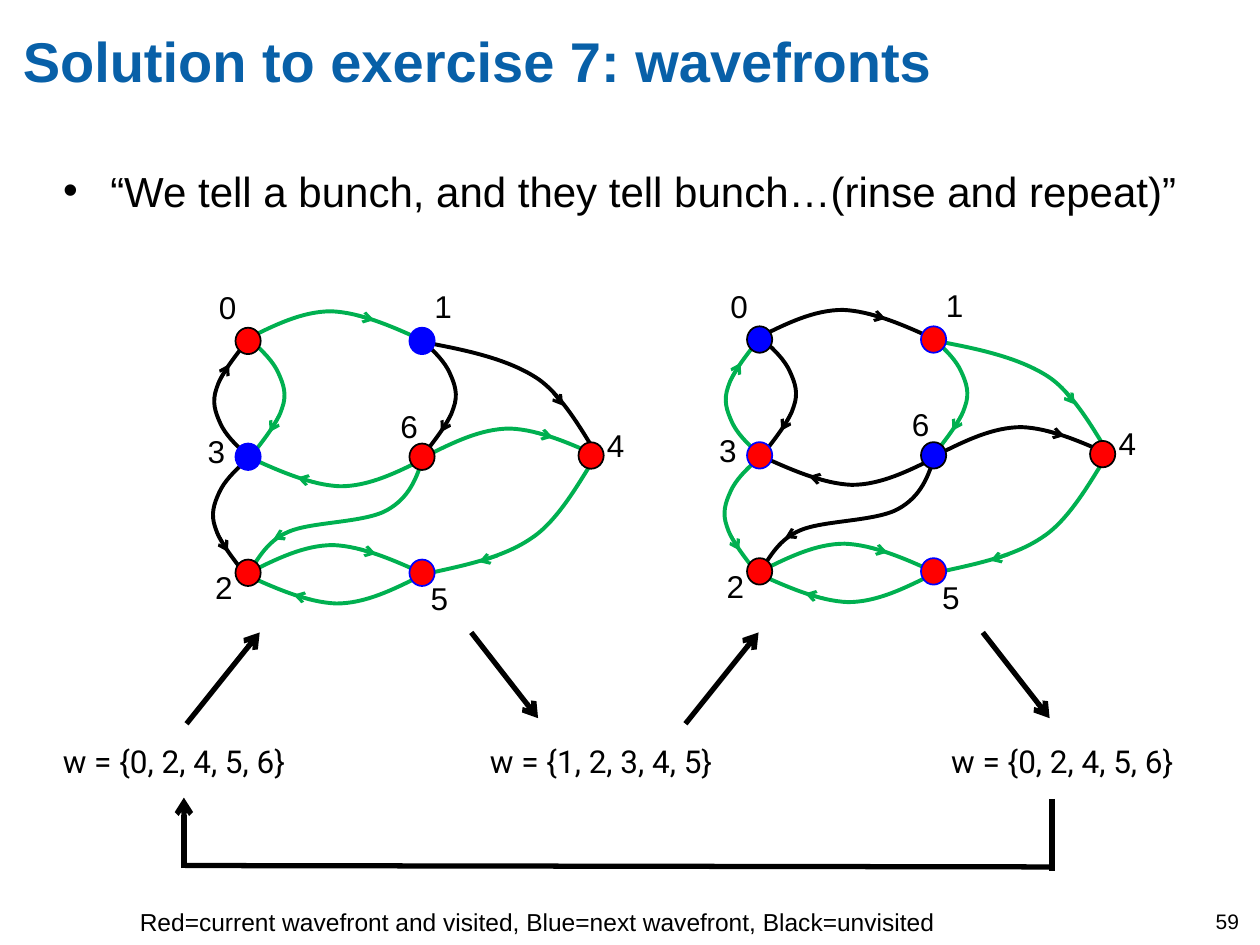
from lxml.etree import SubElement
from pptx import Presentation
from pptx.dml.color import RGBColor
from pptx.enum.shapes import MSO_CONNECTOR, MSO_SHAPE
from pptx.enum.text import MSO_ANCHOR, MSO_AUTO_SIZE, PP_ALIGN
from pptx.oxml.ns import qn
from pptx.util import Pt

COLORS = {
    "title": "0860A8", "black": "000000", "green": "00B050",
    "red": "FF0000", "blue": "0000FF",
}

# Graph geometry in points, measured from the centre of node 0
NODES = {0: (0, 0), 1: (99.4, 0), 2: (0, 132.5), 3: (0, 66.2),
         4: (196, 65.5), 5: (99.4, 132.5), 6: (99.4, 66.2)}
LABELS = {0: (-23.8, -33.5), 1: (99.4, -34.2), 2: (-25.9, 126.4), 3: (-30.2, 48.6),
          4: (198, 45), 5: (97.2, 132.8), 6: (79.9, 34.2)}
BLUE_OUTLINES = {1, 3, 5}

# Each curve: Bezier points, then the two ends of its direction arrow
CURVES = {
    "arch": ([(-0.7, -1.1), (15.1, -9), (31, -16.9), (47.5, -16.9),
              (64.1, -16.2), (82.1, -8.3), (99.4, -0.4)],
             [(61.2, -14.8), (72, -11.9)]),
    "bow": ([(2.2, 0.4), (8.6, 6.1), (14.4, 11.9), (17.3, 18.4), (20.2, 24.8),
             (22.3, 30.6), (19.4, 38.5), (17.3, 45.7), (10.1, 55.1), (2.2, 65.2)],
            [(18, 42.1), (12.2, 52.2)]),
    "fall": ([(0.7, 131.4), (4.3, 127.8), (9.4, 114.8), (23, 109.1), (36, 103.3),
              (66.2, 104), (79.2, 96.8), (92.2, 89.6), (96.5, 78.1), (100.1, 65.9)],
             [(24.5, 108.4), (14.4, 113.4)]),
    "sweep": ([(198, 67.3), (192.2, 75.2), (178.6, 101.9), (162, 112.7),
               (145.4, 124.2), (122.4, 128.5), (99.4, 133.6)],
              [(142.6, 122.8), (131.8, 126.4)]),
    "drop": ([(200.9, 67.3), (195.1, 59.4), (181.4, 32), (164.9, 21.2),
              (148.3, 10.4), (125.3, 5.4), (102.2, 1.1)],
             [(173.5, 28.4), (180, 37.1)]),
}
# Source node, curve, horizontal and vertical direction, offset
EDGES = [
    (3, "bow", -1, -1, 1.4, 65.5),
    (0, "bow", 1, 1, 0, 0),
    (0, "arch", 1, 1, 0, 0),
    (6, "fall", 1, 1, 0, 0),
    (6, "arch", 1, 1, 102.2, 67),
    (2, "arch", 1, 1, 1.1, 133.6),
    (5, "arch", -1, -1, 97.9, 133.2),
    (6, "arch", -1, -1, 100.1, 66.2),
    (3, "bow", -1, 1, 0.7, 68.4),
    (1, "bow", 1, 1, 97.9, 0),
    (4, "sweep", 1, 1, 0, 0),
    (1, "drop", 1, 1, 0, 0),
]
# Centre of node 0 and current wavefront of each graph
GRAPHS = [((141.8, 194.8), {0, 2, 4, 5, 6}), ((434.1, 194), {1, 2, 3, 4, 5})]


def rgb(name):
    return RGBColor.from_string(COLORS[name])


def format_text(frame, text, size, color="black", font="Arial", margins=(0, 0)):
    frame.text = text
    frame.margin_left = frame.margin_right = Pt(margins[0])
    frame.margin_top = frame.margin_bottom = Pt(margins[1])
    frame.vertical_anchor = MSO_ANCHOR.TOP
    frame.auto_size = MSO_AUTO_SIZE.NONE
    paragraph = frame.paragraphs[0]
    paragraph.alignment = PP_ALIGN.LEFT
    paragraph.font.size = Pt(size)
    paragraph.font.name = font
    paragraph.font.color.rgb = rgb(color)
    return paragraph


def place(shape, left, top, width, height):
    shape.left, shape.top = Pt(left), Pt(top)
    shape.width, shape.height = Pt(width), Pt(height)


def add_text(shapes, text, box, size, wrap=True, **style):
    shape = shapes.add_textbox(*map(Pt, box))
    format_text(shape.text_frame, text, size, **style)
    shape.text_frame.word_wrap = wrap
    if not wrap:
        shape.text_frame.auto_size = MSO_AUTO_SIZE.SHAPE_TO_FIT_TEXT


def add_line(shapes, start, end, color="black", width=3, arrow=True):
    connector = shapes.add_connector(
        MSO_CONNECTOR.STRAIGHT, *map(Pt, (*start, *end)))
    connector.line.color.rgb = rgb(color)
    connector.line.width = Pt(width)
    if arrow:
        SubElement(connector.line._get_or_add_ln(), qn("a:tailEnd"), type="arrow")
    SubElement(connector._element.spPr, qn("a:effectLst"))


def add_curve(shapes, points, color):
    start, *rest = [(Pt(x), Pt(y)) for x, y in points]
    builder = shapes.build_freeform(*start)
    builder.add_line_segments(rest, close=False)
    shape = builder.convert_to_shape()
    # Every three line points become one cubic Bezier segment
    outline = shape._element.spPr.find(".//" + qn("a:path"))
    segments = outline.findall(qn("a:lnTo"))
    for index, segment in enumerate(segments):
        if index % 3 == 0:
            bezier = SubElement(outline, qn("a:cubicBezTo"))
        bezier.append(segment[0])
        outline.remove(segment)
    shape.fill.background()
    shape.line.color.rgb = rgb(color)
    shape.line.width = Pt(2.25)
    shape.shadow.inherit = False


def add_node(shapes, center, fill, outline):
    width, height = 14.4, 15.1
    shape = shapes.add_shape(
        MSO_SHAPE.OVAL, Pt(center[0] - width / 2), Pt(center[1] - height / 2),
        Pt(width), Pt(height))
    shape.fill.solid()
    shape.fill.fore_color.rgb = rgb(fill)
    shape.line.color.rgb = rgb(outline)
    shape.line.width = Pt(1)
    shape.shadow.inherit = False


def add_graph(slide, origin, wavefront):
    shapes = slide.shapes.add_group_shape().shapes

    def move(point, flip_x=1, flip_y=1, shift_x=0, shift_y=0):
        return (origin[0] + shift_x + flip_x * point[0],
                origin[1] + shift_y + flip_y * point[1])

    # Edges that leave the wavefront are green
    for source, name, *transform in EDGES:
        color = "green" if source in wavefront else "black"
        points, arrow = ([move(point, *transform) for point in part]
                         for part in CURVES[name])
        add_line(shapes, *arrow, color, 1.75)
        add_curve(shapes, points, color)
    for node, center in NODES.items():
        add_node(shapes, move(center), "red" if node in wavefront else "blue",
                 "blue" if node in BLUE_OUTLINES else "black")
        add_text(shapes, str(node), (*move(LABELS[node]), 24.5, 28.8), 18,
                 wrap=False, margins=(7.2, 3.6))


def add_title_and_body(slide):
    title, body = slide.placeholders
    place(title, 13, 15.1, 648.7, 69.8)
    paragraph = format_text(title.text_frame, "Solution to exercise 7: wavefronts",
                            32, "title")
    paragraph.font.bold = True

    place(body, 36, 94.3, 648.7, 51.8)
    body.text_frame.text = ""
    properties = body.text_frame.paragraphs[0]._p.get_or_add_pPr()
    properties.set("marL", str(Pt(18)))
    properties.set("indent", str(-Pt(18)))
    SubElement(properties, qn("a:buFont"), typeface="Arial")
    SubElement(properties, qn("a:buChar"), char="•")
    paragraph = format_text(
        body.text_frame, "“We tell a bunch, and they tell bunch…(rinse and repeat)”", 24)
    paragraph.space_before = Pt(0)


def main():
    presentation = Presentation()
    presentation.slide_width, presentation.slide_height = Pt(720), Pt(540)
    slide = presentation.slides.add_slide(presentation.slide_layouts[1])
    shapes = slide.shapes
    add_title_and_body(slide)

    for origin, wavefront in GRAPHS:
        add_graph(slide, origin, wavefront)

    # Wavefront sets
    for left, members in ((28.8, "0, 2, 4, 5, 6"), (272.9, "1, 2, 3, 4, 5"),
                          (536.4, "0, 2, 4, 5, 6")):
        add_text(shapes, f"w = {{{members}}}", (left, 420.5, 164.9, 28.8), 18,
                 font="Roboto", margins=(7.2, 3.6))

    # Arrows into and out of each graph
    for left in (106.6, 391.7):
        add_line(shapes, (left, 413.6), (left + 41.8, 361.4))
    for left in (269.3, 561.6):
        add_line(shapes, (left, 361.4), (left + 38.2, 410.4))

    # Return loop from the last set to the first
    add_line(shapes, (601.2, 456.5), (601.2, 497.5), arrow=False)
    add_line(shapes, (601.2, 495.4), (105.8, 494.6), arrow=False)
    add_line(shapes, (105.1, 496.1), (105.1, 455.8))

    # Legend and page number
    add_text(shapes, "Red=current wavefront and visited, Blue=next wavefront, "
             "Black=unvisited", (79.9, 518.4, 565.9, 18), 14)
    add_text(shapes, "59", (687.6, 515.5, 32.4, 23.8), 12, margins=(7.2, 3.6))
    presentation.save("out.pptx")


if __name__ == "__main__":
    main()
